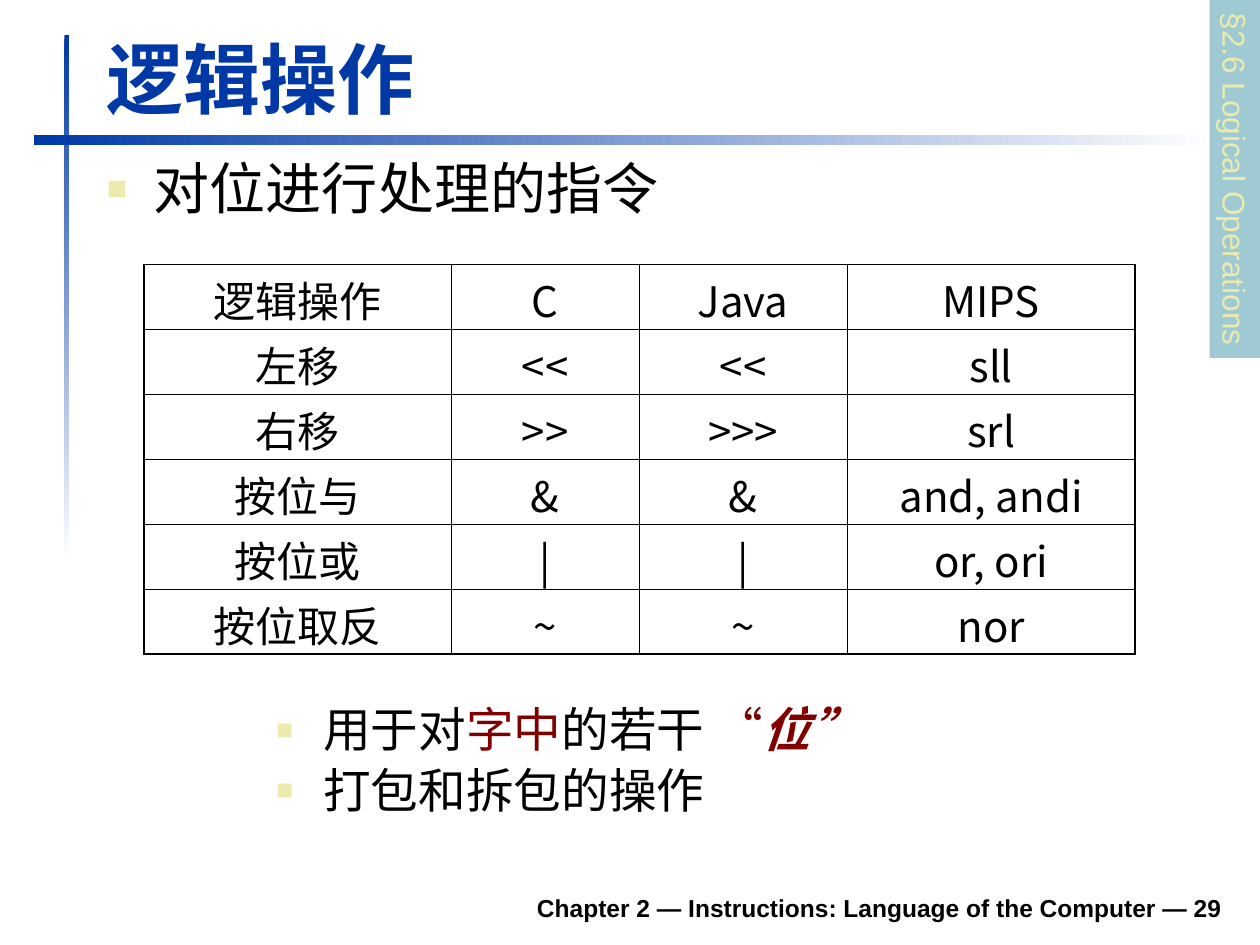
import pptx
import pptx.util
import pptx.dml.color
import pptx.enum.shapes
import pptx.enum.text
import pptx.oxml.ns
from lxml import etree

Cm = pptx.util.Cm
Pt = pptx.util.Pt
ALIGN = pptx.enum.text.PP_ALIGN
ANCHOR = pptx.enum.text.MSO_ANCHOR
RECT = pptx.enum.shapes.MSO_SHAPE.RECTANGLE
CJK = "Noto Sans CJK SC"
BLUE, BLACK, RED, SAND, TEAL = "0039A6", "000000", "800000", "ECEAAC", "9FCAD3"

TITLE = "逻辑操作"
LEAD = [[("对位进行处理的指令", BLACK, {})]]
NOTES = [
    [("用于对", BLACK, {}), ("字中", RED, {}), ("的若干", BLACK, {}),
     (" “", RED, {}), ("位”", RED, {"bold": True, "italic": True})],
    [("打包和拆包的操作", BLACK, {})],
]
ROWS = [
    ("逻辑操作", "C", "Java", "MIPS"),
    ("左移", "<<", "<<", "sll"),
    ("右移", ">>", ">>>", "srl"),
    ("按位与", "&", "&", "and, andi"),
    ("按位或", "|", "|", "or, ori"),
    ("按位取反", "~", "~", "nor"),
]
COLS = [6.2, 3.78, 4.2, 5.8]
ROW_H = 1.31
FOOTER = "Chapter 2 — Instructions: Language of the Computer — 29"
SECTION = "§2.6 Logical Operations"
RULES = [((1.3, 0.71, 0.1, 10.6), 270), ((0.69, 2.72, 23.8, 0.2), 0)]


def rgb(code):
    return pptx.dml.color.RGBColor.from_string(code)


def put(obj, values):
    for name, value in values.items():
        setattr(obj, name, value)


def place(sp, box):
    put(sp, dict(zip(("left", "top", "width", "height"), map(Cm, box))))


def add(parent, tag, **attrs):
    return etree.SubElement(parent, pptx.oxml.ns.qn(tag), attrs)


def write(p, text, color, size, font="Arial", **fmt):
    r = p.add_run()
    r.text = text
    put(r.font, {"name": font, "size": Pt(size), **fmt})
    r.font.color.rgb = rgb(color)
    add(r.font._element, "a:ea", typeface=CJK)


def bullet(p):
    pPr = p._p.get_or_add_pPr()
    put_in = {"marL": str(Cm(0.95)), "indent": str(-Cm(0.95))}
    for name, value in put_in.items():
        pPr.set(name, value)
    add(add(pPr, "a:buClr"), "a:srgbClr", val=SAND)
    add(pPr, "a:buSzPct", val="60000")
    add(pPr, "a:buFont", typeface="Arial")
    add(pPr, "a:buChar", char="■")


def fill_list(sp, box, items, size):
    place(sp, box)
    tf = sp.text_frame
    put(tf, {"auto_size": pptx.enum.text.MSO_AUTO_SIZE.NONE, "word_wrap": True,
             "vertical_anchor": ANCHOR.TOP})
    for i, runs in enumerate(items):
        p = tf.add_paragraph() if i else tf.paragraphs[0]
        put(p, {"line_spacing": 0.9, "space_before": Pt(5 if i else 0)})
        bullet(p)
        for text, color, fmt in runs:
            write(p, text, color, size, **fmt)


def add_rect(s, box):
    sp = s.shapes.add_shape(RECT, *map(Cm, box))
    sp.shadow.inherit = False
    sp.line.fill.background()
    return sp


def borders(cell, row, col):
    last_row, last_col = len(ROWS) - 1, len(COLS) - 1
    widths = {
        "L": 1.08 if col == 0 else 0.45,
        "R": 1.08 if col == last_col else 0.45,
        "T": {0: 1.08, 1: 0.75}.get(row, 0.45),
        "B": {0: 0.75, last_row: 1.08}.get(row, 0.45),
    }
    tcPr = cell._tc.get_or_add_tcPr()
    for side, width in widths.items():
        ln = add(tcPr, "a:ln" + side, w=str(Pt(width)))
        add(add(ln, "a:solidFill"), "a:srgbClr", val=BLACK)


def add_grid(s):
    frame = s.shapes.add_table(len(ROWS), len(COLS), Cm(2.9), Cm(5.33),
                               Cm(sum(COLS)), Cm(ROW_H * len(ROWS)))
    table = frame.table
    put(table, {"first_row": False, "horz_banding": False})
    for col, width in zip(table.columns, COLS):
        col.width = Cm(width)
    for i, values in enumerate(ROWS):
        table.rows[i].height = Cm(ROW_H)
        for j, text in enumerate(values):
            cell = table.cell(i, j)
            put(cell, {"margin_top": Cm(0.08), "margin_bottom": 0})
            borders(cell, i, j)
            cell.fill.background()
            p = cell.text_frame.paragraphs[0]
            p.alignment = ALIGN.CENTER
            write(p, text, BLACK, 24, CJK)


def main():
    prs = pptx.Presentation()
    put(prs, {"slide_width": Cm(25.4), "slide_height": Cm(19.05)})
    s = prs.slides.add_slide(prs.slide_layouts[3])
    title, lead, notes = s.placeholders

    for box, angle in RULES:
        sp = add_rect(s, box)
        sp.fill.gradient()
        sp.fill.gradient_angle = angle
        for stop, color in zip(sp.fill.gradient_stops, (BLUE, "FFFFFF")):
            stop.color.rgb = rgb(color)

    place(title, (1.9, 0.41, 22.94, 2.11))
    tf = title.text_frame
    put(tf, {"auto_size": pptx.enum.text.MSO_AUTO_SIZE.NONE, "margin_top": 0,
             "margin_bottom": 0, "vertical_anchor": ANCHOR.BOTTOM})
    p = tf.paragraphs[0]
    put(p, {"alignment": ALIGN.LEFT, "line_spacing": 0.9})
    write(p, TITLE, BLUE, 44, bold=True)

    fill_list(lead, (1.9, 3.12, 22.96, 1.93), LEAD, 32)
    add_grid(s)
    fill_list(notes, (5.31, 14.12, 14.6, 3), NOTES, 27.2)

    sp = s.shapes.add_textbox(*map(Cm, (4.7, 17.73, 20.19, 0.99)))
    put(sp.text_frame, {"word_wrap": True, "vertical_anchor": ANCHOR.BOTTOM})
    p = sp.text_frame.paragraphs[0]
    p.alignment = ALIGN.RIGHT
    write(p, FOOTER, BLACK, 14, bold=True)

    sp = add_rect(s, (21.29, 3.1, 7.21, 1.02))
    sp.rotation = 90
    sp.fill.solid()
    sp.fill.fore_color.rgb = rgb(TEAL)
    put(sp.text_frame, {"word_wrap": False, "vertical_anchor": ANCHOR.TOP})
    p = sp.text_frame.paragraphs[0]
    p.alignment = ALIGN.LEFT
    write(p, SECTION, SAND, 18)

    prs.save("out.pptx")


if __name__ == "__main__":
    main()
